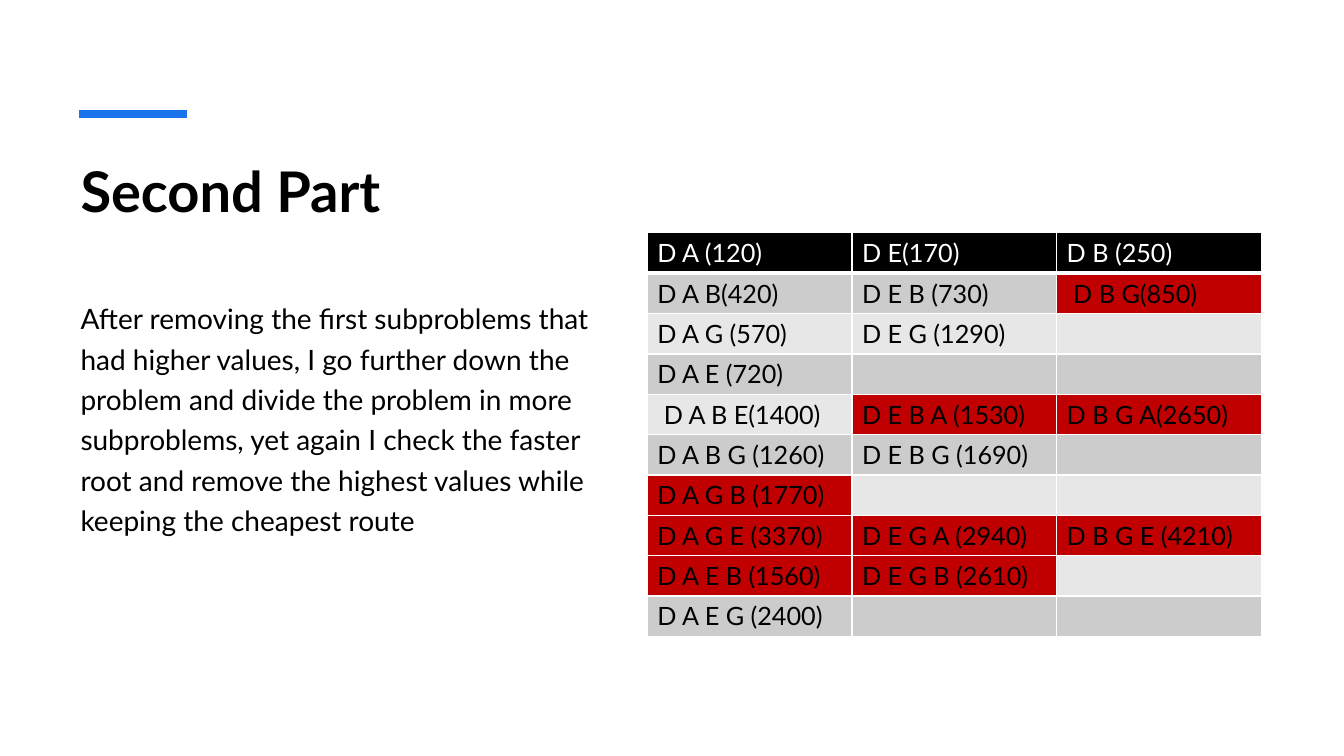
from lxml import etree
from pptx import Presentation
from pptx import util as u
from pptx.dml.color import RGBColor
from pptx.enum import shapes, text
from pptx.oxml import ns

# Content
TITLE = "Second Part"
BODY = ("After removing the first subproblems that had higher values, I go further "
        "down the problem and divide the problem in more subproblems, yet again I "
        "check the faster root and remove the highest values while keeping the "
        "cheapest route")
ROUTES = [
    ("D A (120)", "D E(170)", "D B (250)"),
    ("D A B(420)", "D E B (730)", " D B G(850)"),
    ("D A G (570)", "D E G (1290)", ""),
    ("D A E (720)", "", ""),
    (" D A B E(1400)", "D E B A (1530)", "D B G A(2650)"),
    ("D A B G (1260)", "D E B G (1690)", ""),
    ("D A G B (1770)", "", ""),
    ("D A G E (3370)", "D E G A (2940)", "D B G E (4210)"),
    ("D A E B (1560)", "D E G B (2610)", ""),
    ("D A E G (2400)", "", ""),
]
# Removed routes as (row, column)
REMOVED = {(1, 2), (4, 1), (4, 2), (6, 0), (7, 0), (7, 1), (7, 2), (8, 0), (8, 1)}

# Format and grid, in inches and points
FONT = "Lato"
BLACK, WHITE, RED, BLUE = "000000", "FFFFFF", "C00000", "1973EB"
BANDS = ("E7E7E7", "CCCCCC")
WIDTH, HEIGHT = 13.33, 7.5
LEFT = 0.7
COL_W, ROW_H = 2.03, 0.4
TABLE_LEFT, TABLE_TOP = 6.42, 2.31


def color(value):
    return RGBColor.from_string(value)


def write(tf, words, size, ink=BLACK, bold=False, **spacing):
    p = tf.paragraphs[0]
    for name, value in spacing.items():
        setattr(p, name, value)
    font = p.font
    if words:
        r = p.add_run()
        r.text = words
        font = r.font
    for name, value in {"name": FONT, "size": u.Pt(size), "bold": bold}.items():
        setattr(font, name, value)
    font.color.rgb = color(ink)


def add_text(s, box, words, size, **style):
    tf = s.shapes.add_textbox(*map(u.Inches, box)).text_frame
    tf.word_wrap = True
    tf.vertical_anchor = text.MSO_ANCHOR.TOP
    write(tf, words, size, **style)


def set_borders(cell, widths):
    props = cell._tc.get_or_add_tcPr()
    for i, (side, width) in enumerate(widths.items()):
        ln = etree.Element(ns.qn("a:ln" + side), w=str(u.Pt(width)))
        fill = etree.SubElement(ln, ns.qn("a:solidFill"))
        etree.SubElement(fill, ns.qn("a:srgbClr"), val=WHITE)
        props.insert(i, ln)


def add_accent(s):
    x, y, length = 0.78, 1.13, 1.07
    line = s.shapes.add_connector(shapes.MSO_CONNECTOR.STRAIGHT,
                                  *map(u.Inches, (x, y, x + length, y)))
    line.line.color.rgb = color(BLUE)
    line.line.width = u.Pt(6)
    etree.SubElement(line._element.spPr, ns.qn("a:effectLst"))


def add_routes(s):
    rows, cols = len(ROUTES), len(ROUTES[0])
    box = (TABLE_LEFT, TABLE_TOP, cols * COL_W, rows * ROW_H)
    table = s.shapes.add_table(rows, cols, *map(u.Inches, box)).table
    for col in table.columns:
        col.width = u.Inches(COL_W)
    for i, row in enumerate(ROUTES):
        table.rows[i].height = u.Inches(ROW_H)
        for j, words in enumerate(row):
            header = i == 0
            cell = table.cell(i, j)
            fill = BLACK if header else RED if (i, j) in REMOVED else BANDS[i % 2]
            cell.fill.solid()
            cell.fill.fore_color.rgb = color(fill)
            set_borders(cell, {"L": 1, "R": 1, "T": 1, "B": 3 if header else 1})
            write(cell.text_frame, words, 18, ink=WHITE if header else BLACK)


def main():
    prs = Presentation()
    prs.slide_width, prs.slide_height = u.Inches(WIDTH), u.Inches(HEIGHT)
    s = prs.slides.add_slide(prs.slide_layouts[6])
    # Heading and explanation
    add_accent(s)
    add_text(s, (LEFT, 1.5, 4.58, 1.2), TITLE, 40, bold=True)
    add_text(s, (LEFT, 2.88, 5.35, 3.9), BODY, 20,
             line_spacing=1.2, space_before=u.Pt(10))
    # Route costs
    add_routes(s)
    prs.save("out.pptx")


if __name__ == "__main__":
    main()
